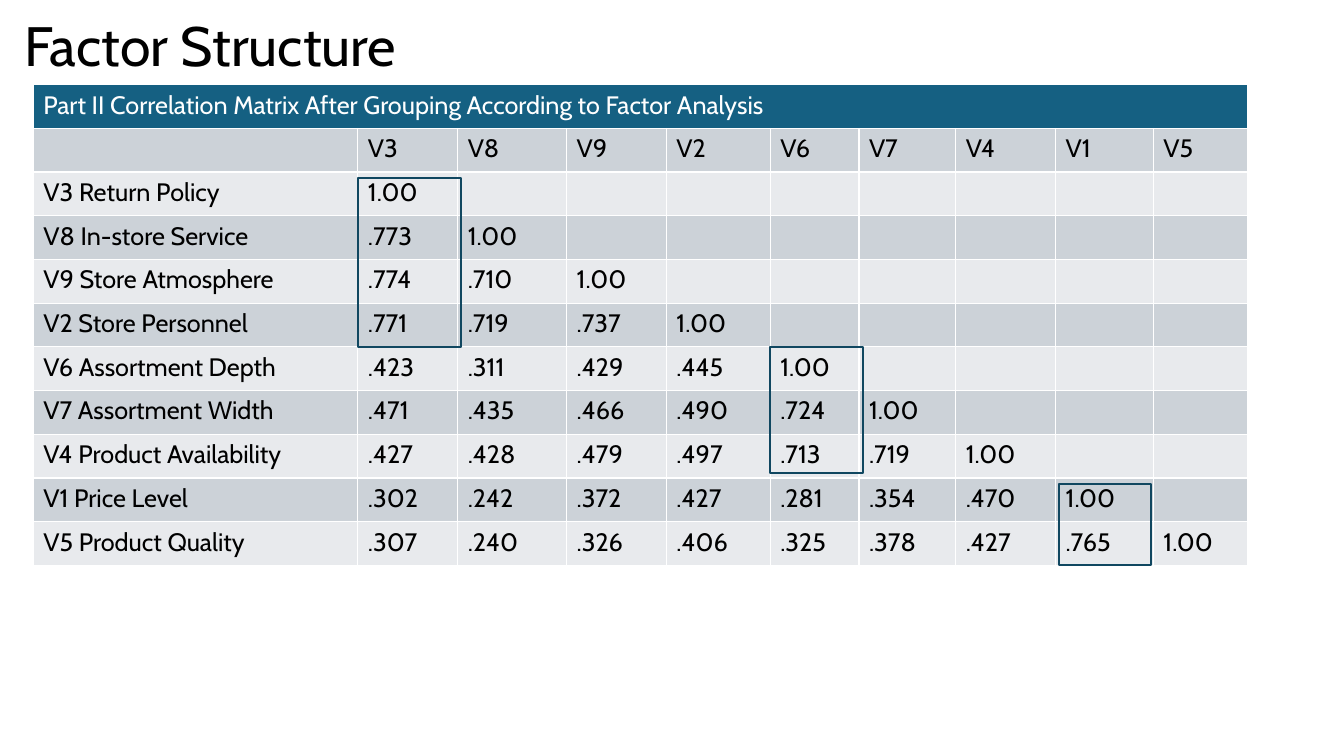
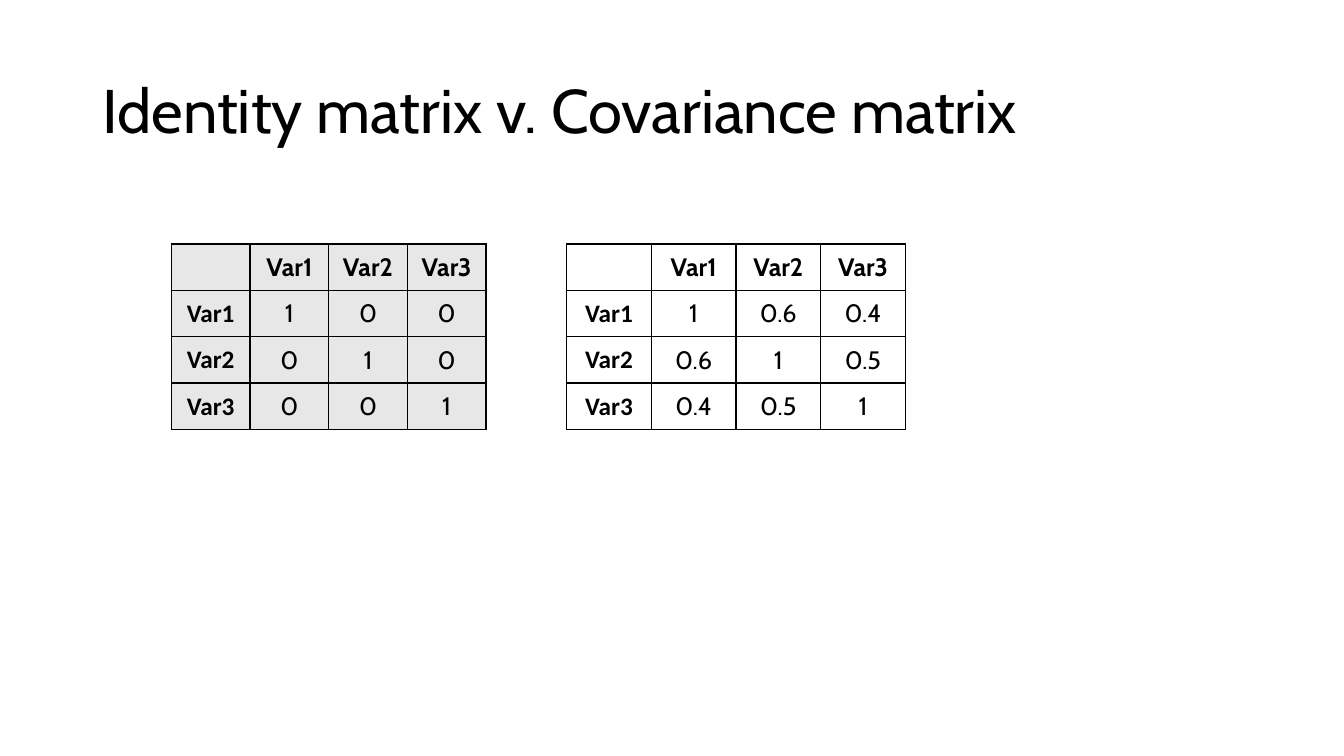
from pptx import Presentation, oxml, util as u
from pptx.dml.color import RGBColor
from pptx.enum import shapes, text

BLACK = RGBColor(0x00, 0x00, 0x00)
WHITE = RGBColor(0xFF, 0xFF, 0xFF)
TEAL = RGBColor(0x15, 0x60, 0x82)
EDGE = RGBColor(0x10, 0x47, 0x60)
DARK = RGBColor(0xCC, 0xD2, 0xD8)
PALE = RGBColor(0xE8, 0xEA, 0xED)
GREY = RGBColor(0xE7, 0xE7, 0xE7)
FONT = "Cabin"
SIDE = "Calibri"
NS = "http://schemas.openxmlformats.org/drawingml/2006/main"

# Each variable with its correlations up to the diagonal
FACTORS = [
    ("V3", "Return Policy", "1.00"),
    ("V8", "In-store Service", ".773 1.00"),
    ("V9", "Store Atmosphere", ".774 .710 1.00"),
    ("V2", "Store Personnel", ".771 .719 .737 1.00"),
    ("V6", "Assortment Depth", ".423 .311 .429 .445 1.00"),
    ("V7", "Assortment Width", ".471 .435 .466 .490 .724 1.00"),
    ("V4", "Product Availability", ".427 .428 .479 .497 .713 .719 1.00"),
    ("V1", "Price Level", ".302 .242 .372 .427 .281 .354 .470 1.00"),
    ("V5", "Product Quality", ".307 .240 .326 .406 .325 .378 .427 .765 1.00"),
]
WIDTHS = [3.22, 0.99, 1.08, 0.99, 1.03, 0.88, 0.96, 0.99, 0.97, 0.94]
GROUPS = [(3.55, 1.77, 1.02, 1.67), (7.64, 3.44, 0.92, 1.25),
          (10.5, 4.8, 0.92, 0.81)]
NAMES = ["Var1", "Var2", "Var3"]
IDENTITY = ["1 0 0", "0 1 0", "0 0 1"]
COVARIANCE = ["1 0.6 0.4", "0.6 1 0.5", "0.4 0.5 1"]


def style(para, size, color=BLACK, bold=False, name=FONT):
    para.font.size = u.Pt(size)
    para.font.color.rgb = color
    para.font.bold = bold
    para.font.name = name


def add_title(slide, words, box, size):
    frame = slide.shapes.add_textbox(*map(u.Inches, box)).text_frame
    frame.word_wrap = True
    frame.vertical_anchor = text.MSO_ANCHOR.MIDDLE
    para = frame.paragraphs[0]
    para.text = words
    para.line_spacing = 0.9
    style(para, size)


def add_grid(slide, left, top, widths, height, count):
    """Plain table with equal rows and no built-in banding."""
    table = slide.shapes.add_table(
        count, len(widths), u.Inches(left), u.Inches(top),
        u.Inches(sum(widths)), u.Inches(height)).table
    table.first_row = table.horz_banding = False
    for col, width in zip(table.columns, widths):
        col.width = u.Inches(width)
    for row in table.rows:
        row.height = u.Inches(height / count)
    return table


def set_edges(cell, color):
    props = cell._tc.get_or_add_tcPr()
    for side in ("lnL", "lnR", "lnT", "lnB"):
        props.append(oxml.parse_xml(
            f'<a:{side} xmlns:a="{NS}" w="12700"><a:solidFill>'
            f'<a:srgbClr val="{color}"/></a:solidFill></a:{side}>'))


def fill_cell(cell, words, edge, fill=None, **font):
    set_edges(cell, edge)
    if fill is None:
        cell.fill.background()
    else:
        cell.fill.solid()
        cell.fill.fore_color.rgb = fill
    para = cell.text_frame.paragraphs[0]
    para.text = words
    style(para, 18, **font)
    return para


def add_factors(slide):
    heads = [code for code, _, _ in FACTORS]
    rows = [[""] + heads]
    rows += [[f"{code} {name}"] + nums.split() for code, name, nums in FACTORS]
    table = add_grid(slide, 0.33, 0.84, WIDTHS, 4.77, len(rows) + 1)

    # Heading across all columns
    for cell in table.rows[0].cells:
        fill_cell(cell, "", WHITE, TEAL)
    first = table.cell(0, 0)
    first.merge(table.cell(0, len(WIDTHS) - 1))
    para = first.text_frame.paragraphs[0]
    para.text = ("Part II Correlation Matrix After Grouping "
                 "According to Factor Analysis")
    style(para, 18, WHITE)

    # Banded body, blank above the diagonal
    for r, row in enumerate(rows, 1):
        row = row + [""] * (len(WIDTHS) - len(row))
        for c, words in enumerate(row):
            fill_cell(table.cell(r, c), words, WHITE, DARK if r % 2 else PALE)


def add_frame(slide, box):
    frame = slide.shapes.add_shape(
        shapes.MSO_SHAPE.RECTANGLE, *map(u.Inches, box))
    frame.shadow.inherit = False
    frame.fill.background()
    frame.line.color.rgb = EDGE
    frame.line.width = u.Pt(1.5)


def add_matrix(slide, left, width, values, fill=None):
    rows = [[""] + NAMES]
    rows += [[name] + nums.split() for name, nums in zip(NAMES, values)]
    table = add_grid(slide, left, 2.42, [width] * 4, 1.84, len(rows))
    for r, row in enumerate(rows):
        for c, words in enumerate(row):
            cell = table.cell(r, c)
            para = fill_cell(cell, words, BLACK, fill, bold=r == 0 or c == 0,
                             name=SIDE if r and c == 0 else FONT)
            para.alignment = text.PP_ALIGN.CENTER
            cell.vertical_anchor = text.MSO_ANCHOR.MIDDLE
            cell.margin_left = cell.margin_right = u.Inches(0.01)
            cell.margin_top = u.Inches(0.01)
            cell.margin_bottom = 0


def main():
    deck = Presentation()
    deck.slide_width, deck.slide_height = u.Inches(13.33), u.Inches(7.5)
    blank = deck.slide_layouts[6]

    # Factor structure
    slide = deck.slides.add_slide(blank)
    add_title(slide, "Factor Structure", (0.14, 0.12, 11.5, 0.72), 39.6)
    add_factors(slide)
    for box in GROUPS:
        add_frame(slide, box)

    # Identity and covariance side by side
    slide = deck.slides.add_slide(blank)
    add_title(slide, "Identity matrix v. Covariance matrix",
              (0.92, 0.4, 11.5, 1.45), 44)
    add_matrix(slide, 1.7, 0.78, IDENTITY, GREY)
    add_matrix(slide, 5.62, 0.84, COVARIANCE)

    deck.save("out.pptx")


if __name__ == "__main__":
    main()
